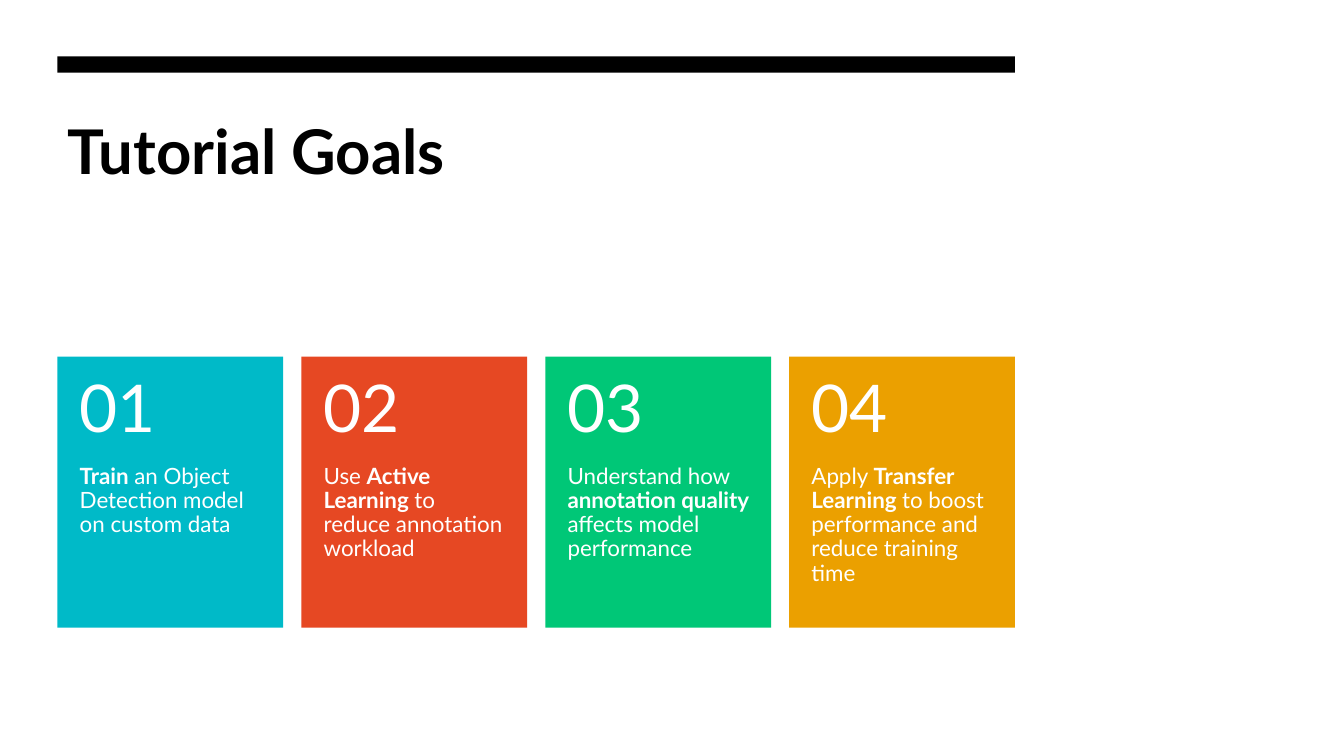
from pptx import Presentation
from pptx.dml.color import RGBColor
from pptx.enum.shapes import MSO_SHAPE
from pptx.enum.text import MSO_ANCHOR, PP_ALIGN
from pptx.util import Cm, Pt

BLACK = RGBColor(0x00, 0x00, 0x00)
WHITE = RGBColor(0xFF, 0xFF, 0xFF)
TEAL = RGBColor(0x00, 0xBA, 0xC8)
RED = RGBColor(0xE6, 0x48, 0x23)
GREEN = RGBColor(0x00, 0xC7, 0x77)
AMBER = RGBColor(0xEB, 0xA0, 0x00)

FONT = "Lato"
TITLE = "Tutorial Goals"
# Each goal: card colour, then (text, bold) runs
GOALS = [
    (TEAL, [("Train", True), (" an Object Detection model on custom data", False)]),
    (RED, [("Use ", False), ("Active Learning ", True),
           ("to reduce annotation workload", False)]),
    (GREEN, [("Understand how ", False), ("annotation quality ", True),
             ("affects model performance", False)]),
    (AMBER, [("Apply ", False), ("Transfer Learning ", True),
             ("to boost performance and reduce training time", False)]),
]

LEFT, WIDTH = 1.45, 24.13
CARD_TOP, CARD_W, CARD_H = 8.99, 5.69, 6.83
NUMBER_H = 2.73
PITCH = (WIDTH - CARD_W) / (len(GOALS) - 1)


def add_rect(s, x, y, w, h, color):
    sp = s.shapes.add_shape(MSO_SHAPE.RECTANGLE, Cm(x), Cm(y), Cm(w), Cm(h))
    sp.shadow.inherit = False
    sp.fill.solid()
    sp.fill.fore_color.rgb = color
    sp.line.fill.background()


def add_text(s, x, y, w, h, runs, size, color=WHITE, anchor=MSO_ANCHOR.TOP,
             insets=(0.25, 0.13, 0.25, 0.13), spacing=0.9):
    """Add a one-paragraph box; insets are left, top, right, bottom in cm."""
    tf = s.shapes.add_textbox(Cm(x), Cm(y), Cm(w), Cm(h)).text_frame
    tf.word_wrap = True
    tf.vertical_anchor = anchor
    tf.margin_left, tf.margin_top, tf.margin_right, tf.margin_bottom = map(Cm, insets)
    p = tf.paragraphs[0]
    p.alignment = PP_ALIGN.LEFT
    p.line_spacing = spacing
    for text, bold in runs:
        r = p.add_run()
        r.text = text
        r.font.name = FONT
        r.font.size = Pt(size)
        r.font.bold = bold
        r.font.color.rgb = color


def main():
    prs = Presentation()
    prs.slide_width, prs.slide_height = Cm(33.87), Cm(19.05)
    s = prs.slides.add_slide(prs.slide_layouts[6])

    add_text(s, LEFT, 2.72, WIDTH, 4.06, [(TITLE, True)], 44, BLACK, spacing=1.0)
    add_rect(s, LEFT, 1.42, WIDTH, 0.41, BLACK)

    for i, (color, runs) in enumerate(GOALS):
        x = LEFT + i * PITCH
        add_rect(s, x, CARD_TOP, CARD_W, CARD_H, color)
        add_text(s, x, CARD_TOP + NUMBER_H, CARD_W, CARD_H - NUMBER_H, runs, 16,
                 insets=(0.56, 0, 0.56, 0.91))
        add_text(s, x, CARD_TOP, CARD_W, NUMBER_H, [(f"{i + 1:02}", False)], 47,
                 anchor=MSO_ANCHOR.MIDDLE, insets=(0.56, 0.46, 0.56, 0.46))

    prs.save("out.pptx")


if __name__ == "__main__":
    main()
